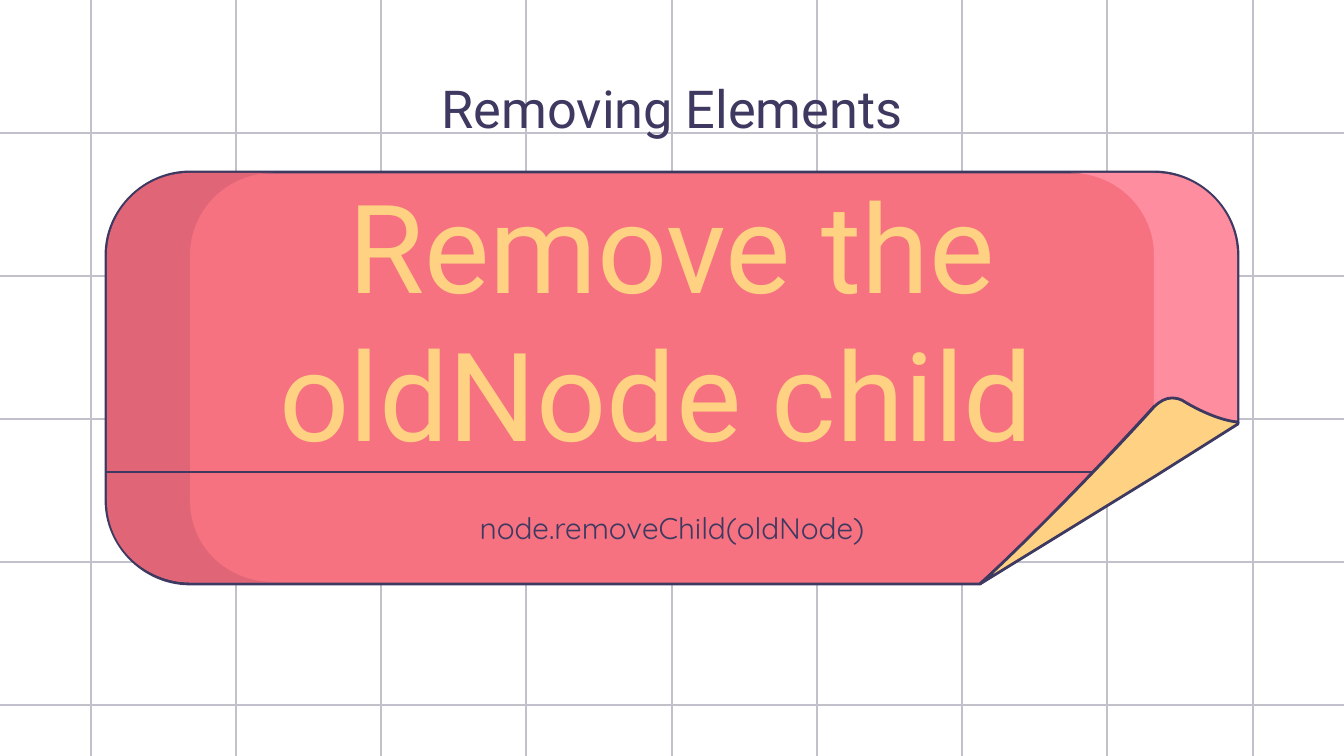
from lxml import etree
from pptx import Presentation
from pptx import util as u
from pptx.dml.color import RGBColor
from pptx.enum import shapes, text
from pptx.oxml.ns import qn

SCALE = 914400 / 134.4
WIDTH, HEIGHT = 1344, 756
BLEED = 25
COLORS = {
    "grid": "C2C1CB",
    "ink": "3D3961",
    "body": "F67280",
    "shade": "E06677",
    "shine": "FF8DA0",
    "gold": "FFD283",
}
FRAME = {
    "word_wrap": True,
    "vertical_anchor": text.MSO_ANCHOR.MIDDLE,
    "margin_left": 0,
    "margin_top": 0,
    "margin_right": 0,
    "margin_bottom": 0,
}
BODY = [
    (190, 584), (144, 584, 106, 546, 106, 500), (106, 255),
    (106, 210, 144, 172, 190, 172), (1154, 172),
    (1200, 172, 1238, 210, 1238, 255), (1238, 423), (1236, 423),
    (1220, 423, 1198, 412, 1183, 404), (1179, 402, 1174, 400, 1169, 400),
    (1164, 400, 1157, 403, 1152, 409), (1120, 444, 1039, 531, 980, 584),
]
SHADE = [
    (190, 173), (144, 173, 107, 210, 107, 255), (107, 501),
    (107, 547, 144, 582, 190, 582), (273, 582),
    (227, 582, 190, 547, 190, 501), (190, 255),
    (190, 210, 227, 173, 273, 173),
]
SHINE = [
    (1237, 423), (1220, 423, 1199, 412, 1184, 403),
    (1180, 402, 1176, 400, 1172, 400), (1165, 400, 1159, 403, 1154, 409),
    (1154, 255), (1154, 210, 1117, 173, 1071, 173), (1154, 173),
    (1200, 173, 1237, 210, 1237, 255),
]
FOLD = [
    (980, 584), (1039, 530, 1121, 444, 1154, 407),
    (1160, 401, 1166, 398, 1172, 398), (1176, 398, 1181, 399, 1185, 402),
    (1200, 411, 1222, 421, 1238, 422), (1238, 424), (1154, 477),
]


def px(length):
    """Turn pixels into EMU."""
    return u.Emu(round(length * SCALE))


def color(name):
    """Look up a named colour."""
    return RGBColor.from_string(COLORS[name])


def bend(piece, outline):
    """Turn the straight segments that have control points into curves."""
    ends = [segment[-2:] for segment in outline]
    left, top = map(min, zip(*ends))
    straights = list(piece._element.iter(qn("a:lnTo")))
    for straight, segment in zip(straights, outline[1:]):
        if len(segment) == 2:
            continue
        curve = etree.Element(qn("a:cubicBezTo"))
        for x, y in zip(segment[::2], segment[1::2]):
            etree.SubElement(curve, qn("a:pt"), x=str(x - left), y=str(y - top))
        straight.getparent().replace(straight, curve)


def add_outline(slide, outline, fill, ink=None):
    """Draw a filled outline, with a line if an ink is given."""
    start, *ends = [segment[-2:] for segment in outline]
    builder = slide.shapes.build_freeform(*start, scale=SCALE)
    builder.add_line_segments(ends, close=True)
    piece = builder.convert_to_shape()
    bend(piece, outline)
    piece.shadow.inherit = False
    piece.fill.solid()
    piece.fill.fore_color.rgb = color(fill)
    if ink:
        piece.line.color.rgb = color(ink)
        piece.line.width = u.Pt(1.5)
    else:
        piece.line.fill.background()


def add_rule(slide, start, end, ink, weight):
    """Draw a straight line without a shadow."""
    rule = slide.shapes.add_connector(
        shapes.MSO_CONNECTOR.STRAIGHT, *map(px, start + end))
    rule.line.color.rgb = color(ink)
    rule.line.width = u.Pt(weight)
    etree.SubElement(rule._element.spPr, qn("a:effectLst"))


def add_label(slide, wording, box, font, size, ink):
    """Write one centred paragraph in the middle of a box."""
    frame = slide.shapes.add_textbox(*map(px, box)).text_frame
    for name, value in FRAME.items():
        setattr(frame, name, value)
    paragraph = frame.paragraphs[0]
    paragraph.alignment = text.PP_ALIGN.CENTER
    run = paragraph.add_run()
    run.text = wording
    for name, value in {"name": font, "size": u.Pt(size)}.items():
        setattr(run.font, name, value)
    run.font.color.rgb = color(ink)


def add_grid(slide):
    """Rule the background into squares that run past the edges."""
    for column in range(9):
        x = 91 + column * 1162 // 8
        add_rule(slide, (x, -BLEED), (x, HEIGHT + BLEED), "grid", 0.75)
    for y in range(133, HEIGHT, 143):
        add_rule(slide, (-BLEED, y), (WIDTH + BLEED, y), "grid", 0.75)


def main():
    """Build and save the slide."""
    deck = Presentation()
    deck.slide_width, deck.slide_height = px(WIDTH), px(HEIGHT)
    slide = deck.slides.add_slide(deck.slide_layouts[6])
    add_grid(slide)
    add_outline(slide, BODY, "body", "ink")
    add_outline(slide, SHADE, "shade")
    add_outline(slide, SHINE, "shine")
    add_outline(slide, FOLD, "gold", "ink")
    add_rule(slide, (106, 472), (1092, 472), "ink", 1.5)
    add_label(slide, "Remove the oldNode child ", (205, 241, 934, 154), "Roboto", 66, "gold")
    add_label(slide, "node.removeChild(oldNode)", (205, 472, 934, 112), "Quicksand", 16, "ink")
    add_label(slide, "Removing Elements", (106, 66, 1132, 84), "Roboto", 28, "ink")
    deck.save("out.pptx")


if __name__ == "__main__":
    main()
